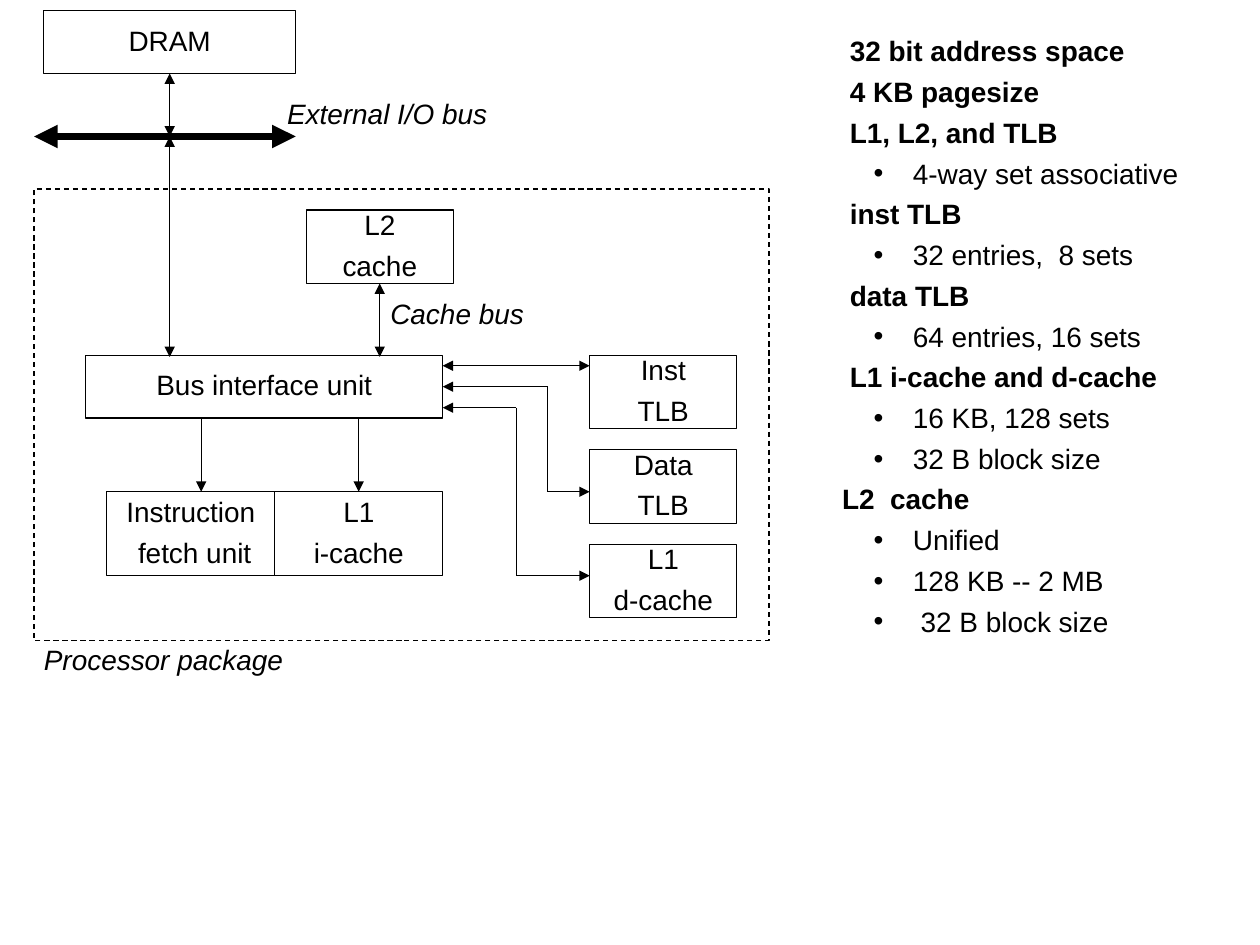
"""Draw a processor memory system beside a list of its traits."""
from dataclasses import dataclass
from itertools import pairwise

from lxml import etree
from pptx import Presentation
from pptx.dml.color import RGBColor
from pptx.enum.dml import MSO_LINE
from pptx.enum.shapes import MSO_CONNECTOR, MSO_SHAPE
from pptx.enum.text import MSO_ANCHOR, MSO_AUTO_SIZE, PP_ALIGN
from pptx.oxml.ns import qn
from pptx.util import Pt

RECT = MSO_SHAPE.RECTANGLE
LINE = MSO_CONNECTOR.STRAIGHT
DASH = MSO_LINE.DASH
MID, TOP = MSO_ANCHOR.MIDDLE, MSO_ANCHOR.TOP
LEFT, MIDST = PP_ALIGN.LEFT, PP_ALIGN.CENTER
FIXED = MSO_AUTO_SIZE.NONE
COLORS = {"ink": "000000", "paper": "FFFFFF"}
FONT = {"name": "Arial", "size": Pt(16), "bold": False, "italic": False}
INSETS = {"margin_left": Pt(7.2), "margin_right": Pt(7.2),
          "margin_top": Pt(3.6), "margin_bottom": Pt(3.6)}
SPACE = 4.45


@dataclass
class Box:
    """A framed block with one or more text lines."""
    x: float
    y: float
    w: float
    h: float
    lines: tuple = ()
    shift: float = 0
    dashed: bool = False


@dataclass
class Label:
    """A free text label in italics."""
    x: float
    y: float
    w: float
    text: str
    align: int = LEFT
    wrap: bool = True


@dataclass
class Route:
    """A path of straight lines with arrows at its ends."""
    points: tuple
    head: bool = True
    tail: bool = True
    width: float = 0.75


@dataclass
class Item:
    """A line of the list, with its indent in points."""
    text: str
    level: int = 0
    indent: float = SPACE


BIU = Box(49, 203, 204, 36, ("Bus interface unit",))
SIDE = (("Inst", "TLB"), ("Data", "TLB"), ("L1", "d-cache"))
BOXES = [
    BIU,
    Box(25, 6, 144, 36, ("DRAM",)),
    Box(61, 281, 96, 48, ("Instruction", "fetch unit"), SPACE),
    Box(157, 281, 96, 48, ("L1", "i-cache")),
    Box(175, 120, 84, 42, ("L2", "cache")),
    *[Box(337, 203 + 54 * i, 84, 42, lines) for i, lines in enumerate(SIDE)],
    Box(19.5, 108, 420, 258, dashed=True),
]
ROUTES = [
    Route(((97, 204), (97, 78))),
    Route(((19.5, 78), (169, 78)), width=4.5),
    Route(((97, 78), (97, 42))),
    Route(((205, 281), (205, 239)), tail=False),
    Route(((115, 281), (115, 239)), tail=False),
    Route(((217, 204), (217, 162))),
    Route(((253, 209), (337, 209))),
    Route(((253, 221), (313, 221), (313, 281), (337, 281))),
    Route(((253, 233), (295, 233), (295, 329), (337, 329))),
]
LABELS = [
    Label(150, 54, 142.5, "External I/O bus", MIDST),
    Label(216, 168, 97, "Cache bus"),
    Label(18, 366, 151, "Processor package", wrap=False),
]
ITEMS = [
    Item("32 bit address space"),
    Item("4 KB pagesize"),
    Item("L1, L2, and TLB"),
    Item("4-way set associative", 1),
    Item("inst TLB"),
    Item("32 entries,  8 sets", 1),
    Item("data TLB"),
    Item("64 entries, 16 sets", 1),
    Item("L1 i-cache and d-cache"),
    Item("16 KB, 128 sets", 1),
    Item("32 B block size", 1),
    Item("L2  cache", indent=0),
    Item("Unified", 1),
    Item("128 KB -- 2 MB", 1),
    Item("32 B block size", 1, 2 * SPACE),
]


def color(name: str) -> RGBColor:
    """Look up a named color."""
    return RGBColor.from_string(COLORS[name])


def apply(thing, values: dict) -> None:
    """Set each named value on an object."""
    for key, value in values.items():
        setattr(thing, key, value)


def write(frame, nth: int, text: str, align: int = LEFT, **font):
    """Write one line as the nth paragraph of a frame."""
    para = frame.add_paragraph() if nth else frame.paragraphs[0]
    apply(para, {"alignment": align, "line_spacing": 0.9,
                 "space_before": Pt(6 if nth else 0), "space_after": Pt(0)})
    run = para.add_run()
    run.text = text
    apply(run.font, FONT | font)
    run.font.color.rgb = color("ink")
    return para


def draw_box(slide, box: Box) -> None:
    """Draw a framed block and its text."""
    shape = slide.shapes.add_shape(RECT, *map(Pt, (box.x, box.y, box.w, box.h)))
    shape.shadow.inherit = False
    shape.line.color.rgb = color("ink")
    shape.line.width = Pt(0.75)
    if box.dashed:
        shape.fill.background()
        shape.line.dash_style = DASH
        return
    shape.fill.solid()
    shape.fill.fore_color.rgb = color("paper")
    frame = shape.text_frame
    apply(frame, INSETS | {"word_wrap": False, "vertical_anchor": MID})
    for nth, text in enumerate(box.lines):
        para = write(frame, nth, text, MIDST)
        if nth and box.shift:
            para._p.get_or_add_pPr().set("marL", str(Pt(box.shift)))


def draw_label(slide, label: Label) -> None:
    """Draw a label in italics."""
    shape = slide.shapes.add_textbox(*map(Pt, (label.x, label.y, label.w, 24.5)))
    apply(shape.text_frame, INSETS | {"word_wrap": label.wrap})
    write(shape.text_frame, 0, label.text, label.align, italic=True)


def draw_route(slide, route: Route) -> None:
    """Draw each leg of a path, with arrows at the outer ends."""
    legs = list(pairwise(route.points))
    for nth, (start, end) in enumerate(legs):
        leg = slide.shapes.add_connector(LINE, *map(Pt, start + end))
        leg.line.color.rgb = color("ink")
        leg.line.width = Pt(route.width)
        ends = {"a:headEnd": route.head and nth == 0,
                "a:tailEnd": route.tail and nth == len(legs) - 1}
        for tag, shown in ends.items():
            if shown:
                etree.SubElement(leg.line._ln, qn(tag), type="triangle")
        etree.SubElement(leg._element.spPr, qn("a:effectLst"))


def draw_list(body, items: list[Item]) -> None:
    """Fill the body with headings and bullets."""
    apply(body, {"left": Pt(474), "top": Pt(18), "width": Pt(222), "height": Pt(350)})
    frame = body.text_frame
    apply(frame, INSETS | {"word_wrap": True, "vertical_anchor": TOP,
                           "auto_size": FIXED})
    for nth, item in enumerate(items):
        para = write(frame, nth, item.text, bold=item.level == 0)
        para.level = item.level
        props = para._p.get_or_add_pPr()
        hang = 18 + item.indent if item.level else 0
        props.set("marL", str(Pt(36 * item.level + item.indent)))
        props.set("indent", str(-Pt(hang)))
        if item.level:
            tint = etree.SubElement(props, qn("a:buClr"))
            etree.SubElement(tint, qn("a:srgbClr"), val=COLORS["ink"])
            etree.SubElement(props, qn("a:buFont"), typeface="Arial")
            etree.SubElement(props, qn("a:buChar"), char="•")
        else:
            etree.SubElement(props, qn("a:buNone"))


def main() -> None:
    """Build and save the deck."""
    deck = Presentation()
    apply(deck, {"slide_width": Pt(720), "slide_height": Pt(540)})
    slide = deck.slides.add_slide(deck.slide_layouts[1])
    title = slide.shapes.title._element
    title.getparent().remove(title)
    draw_list(slide.placeholders[1], ITEMS)
    for draw, parts in ((draw_box, BOXES), (draw_route, ROUTES), (draw_label, LABELS)):
        for part in parts:
            draw(slide, part)
    deck.save("out.pptx")


if __name__ == "__main__":
    main()
